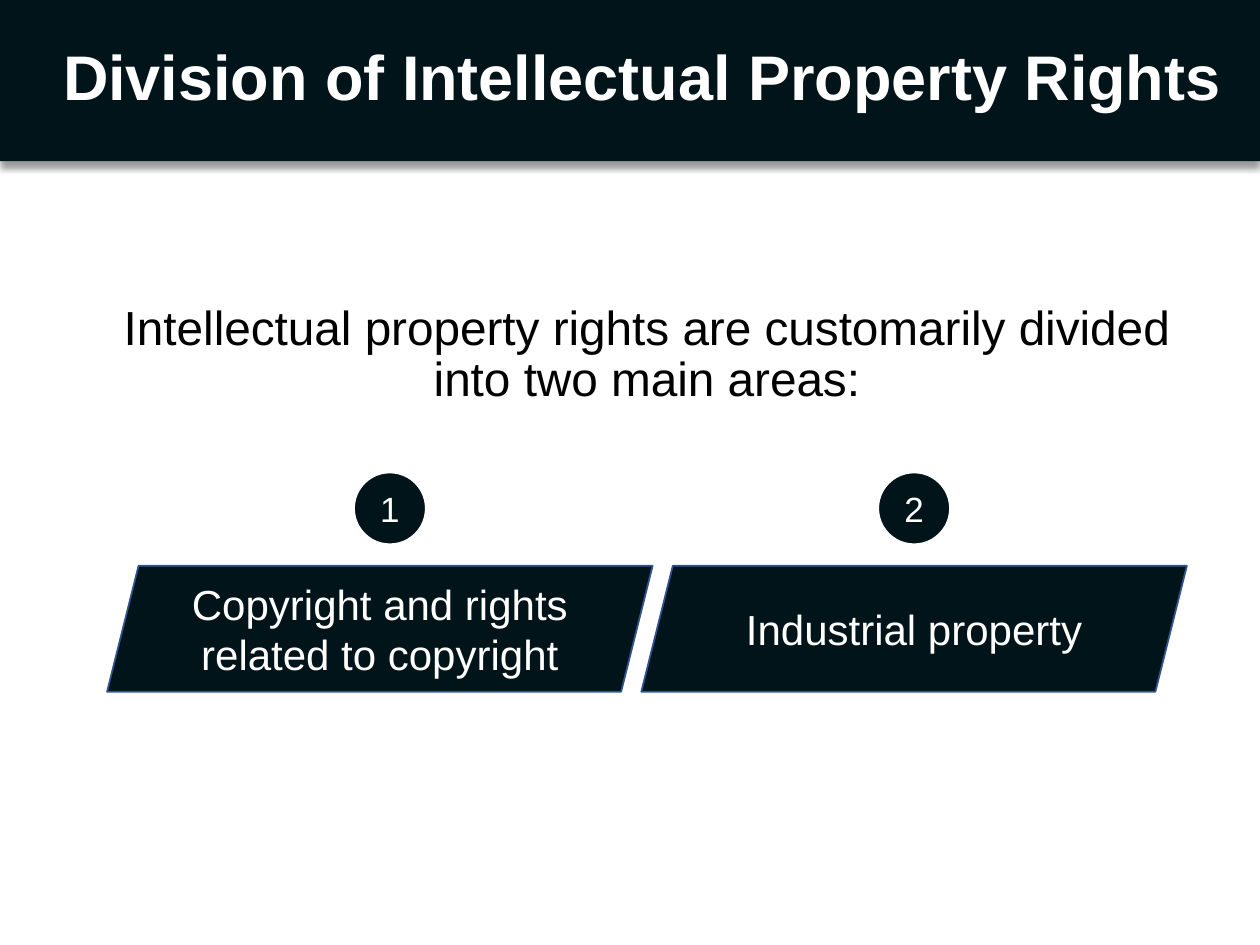
import pptx
import pptx.util
import pptx.dml.color
import pptx.enum.shapes
import pptx.enum.text
import pptx.oxml
import pptx.oxml.ns

COLORS = {"dark": "01141A", "light": "FFFFFF", "text": "000000", "outline": "31538F"}
FONT = "Arial"
SHAPES = pptx.enum.shapes.MSO_SHAPE
ALIGN = pptx.enum.text.PP_ALIGN

# Grid: 100 columns by 75 rows on a 10 x 7.5 inch slide
COLUMNS, ROWS = 100, 75


def rgb(name):
    return pptx.dml.color.RGBColor.from_string(COLORS[name])


class SlideBuilder:
    def __init__(self, presentation):
        self.cell_width = presentation.slide_width / COLUMNS
        self.cell_height = presentation.slide_height / ROWS
        self.slide = presentation.slides.add_slide(presentation.slide_layouts[5])

    def box(self, column, row, columns, rows):
        return (round(column * self.cell_width), round(row * self.cell_height),
                round(columns * self.cell_width), round(rows * self.cell_height))

    def set_text(self, shape, text, size, color="light", align=ALIGN.CENTER,
                 bold=False, spacing=1.0):
        frame = shape.text_frame
        frame.text = text
        frame.word_wrap = True
        frame.auto_size = pptx.enum.text.MSO_AUTO_SIZE.NONE
        frame.vertical_anchor = pptx.enum.text.MSO_ANCHOR.MIDDLE
        paragraph = frame.paragraphs[0]
        paragraph.alignment = align
        paragraph.line_spacing = spacing
        paragraph.font.name = FONT
        paragraph.font.size = pptx.util.Pt(size)
        paragraph.font.bold = bold
        paragraph.font.color.rgb = rgb(color)

    def title(self, text, *place):
        title = self.slide.shapes.title
        title.left, title.top, title.width, title.height = self.box(*place)
        self.set_text(title, text, 36, align=ALIGN.LEFT, bold=True, spacing=0.9)

    def shape(self, kind, *place, line=None):
        shape = self.slide.shapes.add_shape(kind, *self.box(*place))
        shape.shadow.inherit = False
        shape.fill.solid()
        shape.fill.fore_color.rgb = rgb("dark")
        if line:
            shape.line.color.rgb = rgb(line)
            shape.line.width = pptx.util.Pt(1)
        else:
            shape.line.fill.background()
        return shape

    def band(self, *place):
        band = self.shape(SHAPES.RECTANGLE, *place)
        effects = band.element.spPr.find(pptx.oxml.ns.qn("a:effectLst"))
        effects.append(pptx.oxml.parse_xml(
            f'<a:outerShdw {pptx.oxml.ns.nsdecls("a")} blurRad="50800" dist="38100" '
            'dir="5400000" algn="t" rotWithShape="0"><a:srgbClr val="000000">'
            '<a:alpha val="40000"/></a:srgbClr></a:outerShdw>'))
        # The band lies behind the title
        self.slide.shapes.title.element.addprevious(band.element)

    def text(self, text, size, *place):
        textbox = self.slide.shapes.add_textbox(*self.box(*place))
        self.set_text(textbox, text, size, color="text", spacing=0.9)

    def panel(self, text, *place):
        panel = self.shape(SHAPES.PARALLELOGRAM, *place, line="outline")
        panel.adjustments[0] = 0.25
        self.set_text(panel, text, 24)

    def badge(self, text, *place):
        badge = self.shape(SHAPES.OVAL, *place, line="light")
        self.set_text(badge, text, 20)


def main():
    presentation = pptx.Presentation()
    presentation.slide_width = pptx.util.Inches(10)
    presentation.slide_height = pptx.util.Inches(7.5)
    builder = SlideBuilder(presentation)

    # Header
    builder.band(0, 0, COLUMNS, 12.8)
    builder.title("Division of Intellectual Property Rights", 4, 0, 96, 12.8)

    # Introduction
    builder.text("Intellectual property rights are customarily divided "
                 "into two main areas:", 27.3, 8.5, 21.8, 85.7, 12.8)

    # The two numbered areas
    areas = ["Copyright and rights related to copyright", "Industrial property"]
    for index, area in enumerate(areas):
        builder.panel(area, 8.5 + 42.4 * index, 44.9, 43.3, 10)
        builder.badge(str(index + 1), 28.1 + 41.6 * index, 37.5, 5.7, 5.7)

    presentation.save("out.pptx")


if __name__ == "__main__":
    main()
